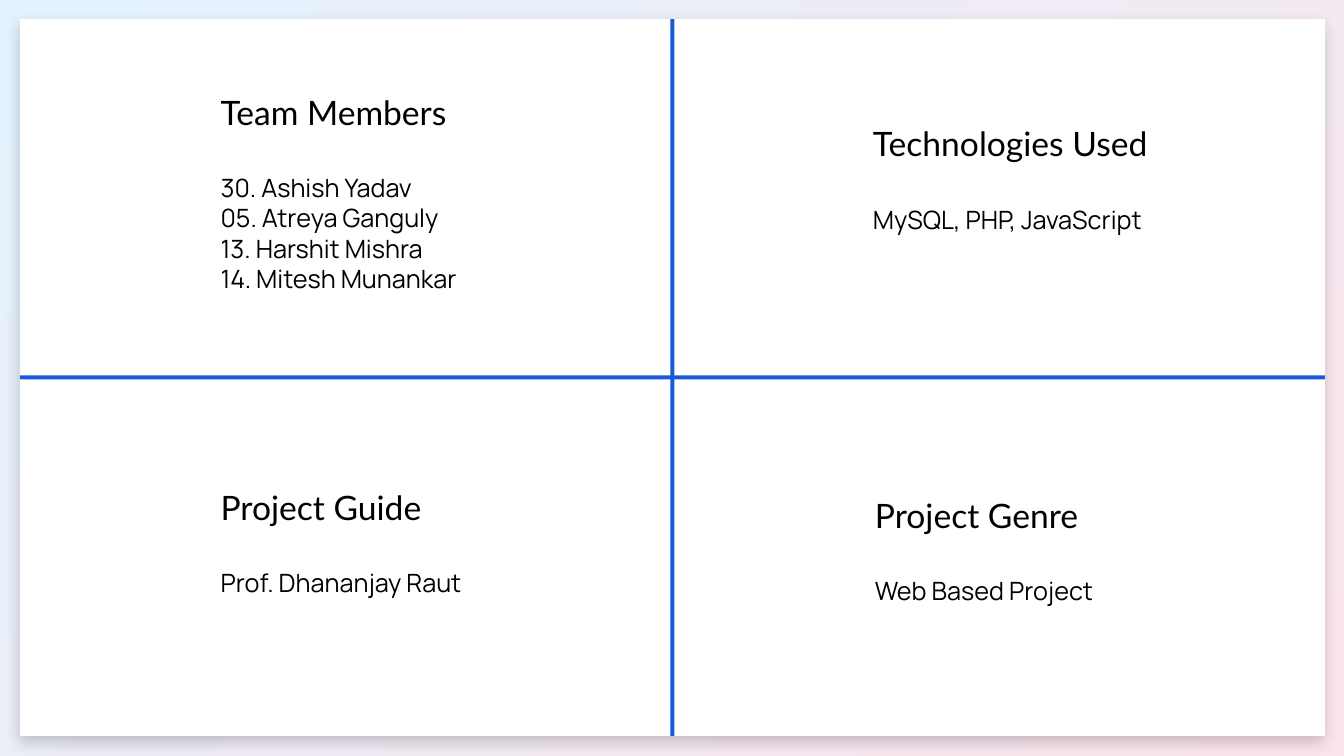
from lxml.etree import SubElement
from pptx import Presentation
from pptx.dml.color import RGBColor
from pptx.enum.shapes import MSO_SHAPE
from pptx.enum.text import MSO_AUTO_SIZE
from pptx.oxml.ns import qn
from pptx.util import Inches, Pt

COLORS = {
    "sky": "E3F2FD",
    "blush": "FCE4EC",
    "panel": "FFFFFF",
    "divider": "185ADB",
    "text": "000000",
}
HEADING = {"name": "Lato", "size": Pt(24)}
BODY = {"name": "Manrope", "size": Pt(18)}
WIDTH, HEIGHT = 13.33, 7.5
PANEL_LEFT, PANEL_TOP, PANEL_WIDTH, PANEL_HEIGHT = 0.2, 0.19, 12.94, 7.11
RULE = 0.04

QUADRANTS = [
    (2.09, 0.86, 2.64, 2.12, "Team Members",
     ["30. Ashish Yadav", "05. Atreya Ganguly", "13. Harshit Mishra", "14. Mitesh Munankar"]),
    (8.56, 1.17, 3.23, 1.21, "Technologies Used", ["MySQL, PHP, JavaScript"]),
    (2.09, 4.78, 2.86, 1.21, "Project Guide", ["Prof. Dhananjay Raut"]),
    (8.58, 4.86, 2.64, 1.21, "Project Genre", ["Web Based Project"]),
]


def add_rectangle(left, top, width, height, color=None):
    rectangle = slide.shapes.add_shape(
        MSO_SHAPE.RECTANGLE, Inches(left), Inches(top), Inches(width), Inches(height))
    rectangle.shadow.inherit = False
    rectangle.line.fill.background()
    if color:
        rectangle.fill.solid()
        rectangle.fill.fore_color.rgb = RGBColor.from_string(COLORS[color])
    return rectangle


presentation = Presentation()
presentation.slide_width = Inches(WIDTH)
presentation.slide_height = Inches(HEIGHT)
slide = presentation.slides.add_slide(presentation.slide_layouts[6])

backdrop = add_rectangle(0, 0, WIDTH, HEIGHT)
backdrop.fill.gradient()
backdrop.fill.gradient_angle = 315
for stop, color, position in zip(backdrop.fill.gradient_stops, ("sky", "blush"), (0, 1)):
    stop.color.rgb = RGBColor.from_string(COLORS[color])
    stop.position = position

panel = add_rectangle(PANEL_LEFT, PANEL_TOP, PANEL_WIDTH, PANEL_HEIGHT, "panel")
effects = panel.element.spPr.find(qn("a:effectLst"))
panel_shadow = SubElement(
    effects, qn("a:outerShdw"), blurRad=str(Pt(10)), dist=str(Pt(5)),
    dir="5400000", algn="t", rotWithShape="0")
shadow_color = SubElement(panel_shadow, qn("a:srgbClr"), val=COLORS["text"])
SubElement(shadow_color, qn("a:alpha"), val="20000")

add_rectangle(PANEL_LEFT + (PANEL_WIDTH - RULE) / 2, PANEL_TOP, RULE, PANEL_HEIGHT, "divider")
add_rectangle(PANEL_LEFT, PANEL_TOP + (PANEL_HEIGHT - RULE) / 2, PANEL_WIDTH, RULE, "divider")

for left, top, width, height, heading, details in QUADRANTS:
    quadrant = slide.shapes.add_textbox(
        Inches(left), Inches(top), Inches(width), Inches(height))
    frame = quadrant.text_frame
    frame.word_wrap = True
    frame.auto_size = MSO_AUTO_SIZE.SHAPE_TO_FIT_TEXT
    frame.text = "\n".join([heading, *details])
    for index, paragraph in enumerate(frame.paragraphs):
        font = paragraph.runs[0].font
        font.color.rgb = RGBColor.from_string(COLORS["text"])
        for attribute, value in (BODY if index else HEADING).items():
            setattr(font, attribute, value)
    frame.paragraphs[1].space_before = Pt(29)

presentation.save("out.pptx")
